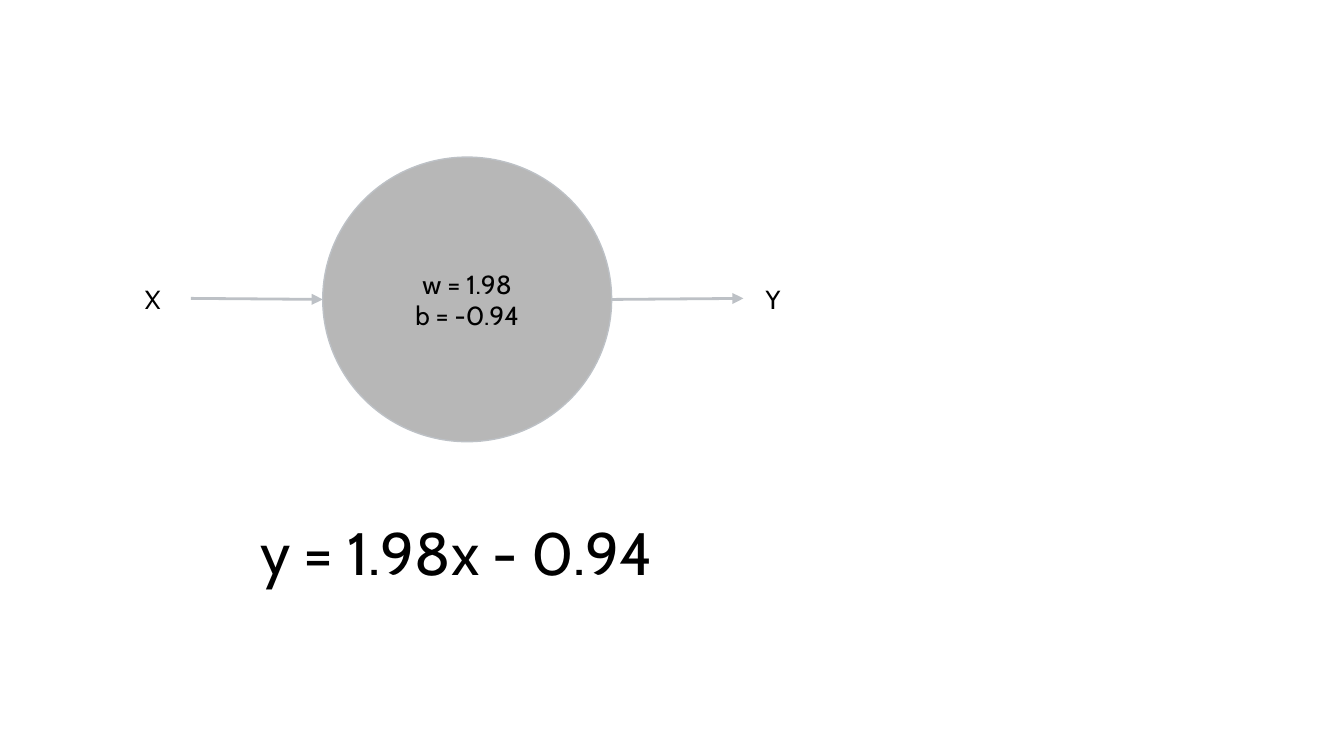
import pptx
import pptx.dml.color
import pptx.enum.shapes
import pptx.enum.text
import pptx.oxml
import pptx.oxml.ns
import pptx.util
from pptx.util import Cm

FONT = "Cabin"
COLORS = {"text": "000000", "neuron": "B7B7B7", "line": "BDC1C6"}
INSET = 0.25

# Lengths in cm: left, top, width, height
NEURON = (6.1, 2.97, 5.46, 5.38)
PARAMETERS = ["w = 1.98", "b = -0.94"]
LABELS = [
    ("y = 1.98x - 0.94", 32, (4.67, 9.5, 8.33, 1.88)),
    ("X", 14, (2.49, 5.11, 1.12, 1.09)),
    ("Y", 14, (14.22, 5.11, 1.12, 1.09)),
]
ARROW_LENGTH = 2.49
ARROW_RISE = 0.02


def rgb(name):
    return pptx.dml.color.RGBColor.from_string(COLORS[name])


def write(sp, lines, size, align, anchor):
    tf = sp.text_frame
    tf.word_wrap = True
    tf.vertical_anchor = anchor
    tf.margin_left = tf.margin_right = tf.margin_top = tf.margin_bottom = Cm(INSET)
    for i, line in enumerate(lines):
        p = tf.paragraphs[0] if i == 0 else tf.add_paragraph()
        p.text = line
        p.alignment = align
        p.font.name = FONT
        p.font.size = pptx.util.Pt(size)
        p.font.color.rgb = rgb("text")


def add_arrow(s, start, end):
    c = s.shapes.add_connector(
        pptx.enum.shapes.MSO_CONNECTOR.STRAIGHT, *map(Cm, start + end))
    c.line.color.rgb = rgb("line")
    c.line.width = pptx.util.Pt(1.5)
    ln = c.line._get_or_add_ln()
    ns = pptx.oxml.ns.nsdecls("a")
    ln.append(pptx.oxml.parse_xml(f'<a:tailEnd {ns} type="triangle"/>'))
    ln.getparent().append(pptx.oxml.parse_xml(f"<a:effectLst {ns}/>"))


def main():
    align = pptx.enum.text.PP_ALIGN
    anchor = pptx.enum.text.MSO_ANCHOR
    prs = pptx.Presentation()
    prs.slide_width, prs.slide_height = Cm(25.4), Cm(14.29)
    s = prs.slides.add_slide(prs.slide_layouts[6])

    sp = s.shapes.add_shape(pptx.enum.shapes.MSO_SHAPE.OVAL, *map(Cm, NEURON))
    sp.shadow.inherit = False
    sp.fill.solid()
    sp.fill.fore_color.rgb = rgb("neuron")
    sp.line.color.rgb = rgb("line")
    sp.line.width = pptx.util.Pt(0.75)
    write(sp, PARAMETERS, 14, align.CENTER, anchor.MIDDLE)

    left, top, width, height = NEURON
    right, middle = left + width, top + height / 2
    outer = middle - ARROW_RISE
    add_arrow(s, (left - ARROW_LENGTH, outer), (left, middle))
    add_arrow(s, (right, middle), (right + ARROW_LENGTH, outer))

    for text, size, box in LABELS:
        tb = s.shapes.add_textbox(*map(Cm, box))
        write(tb, [text], size, align.LEFT, anchor.TOP)

    prs.save("out.pptx")


if __name__ == "__main__":
    main()
